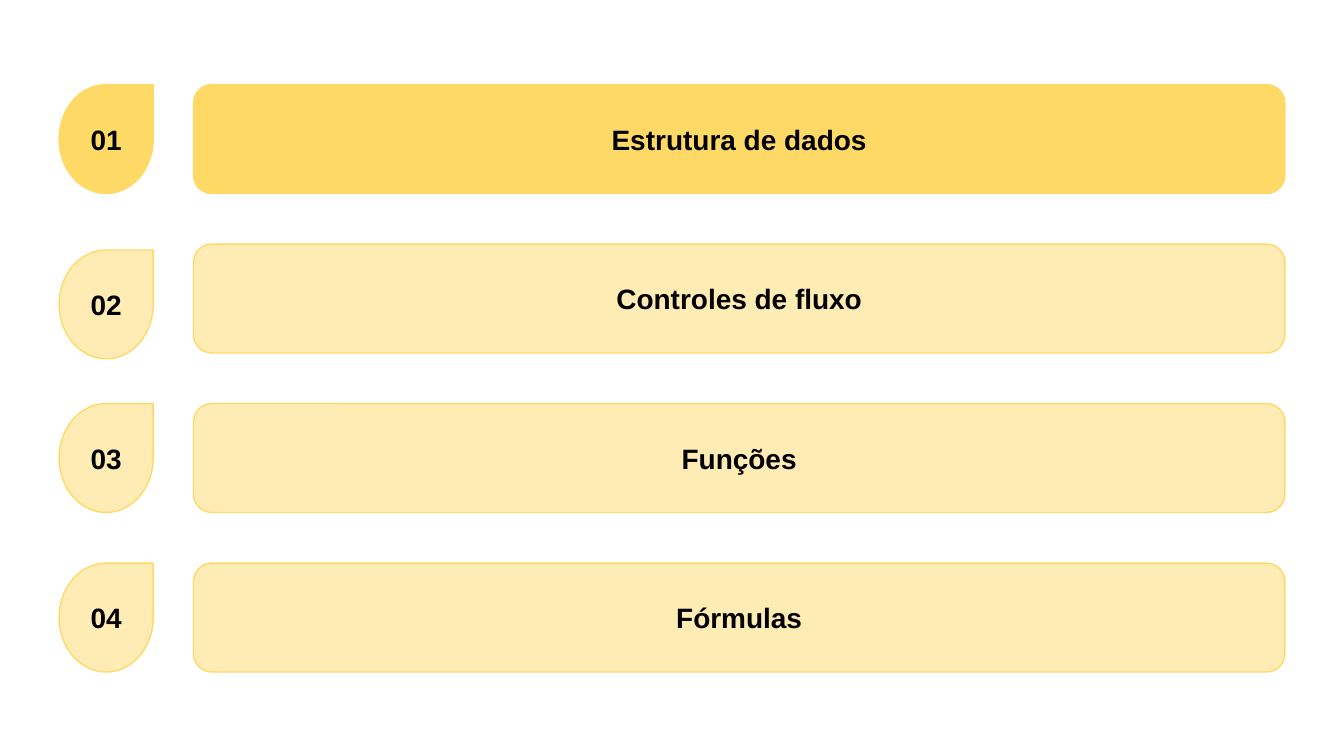
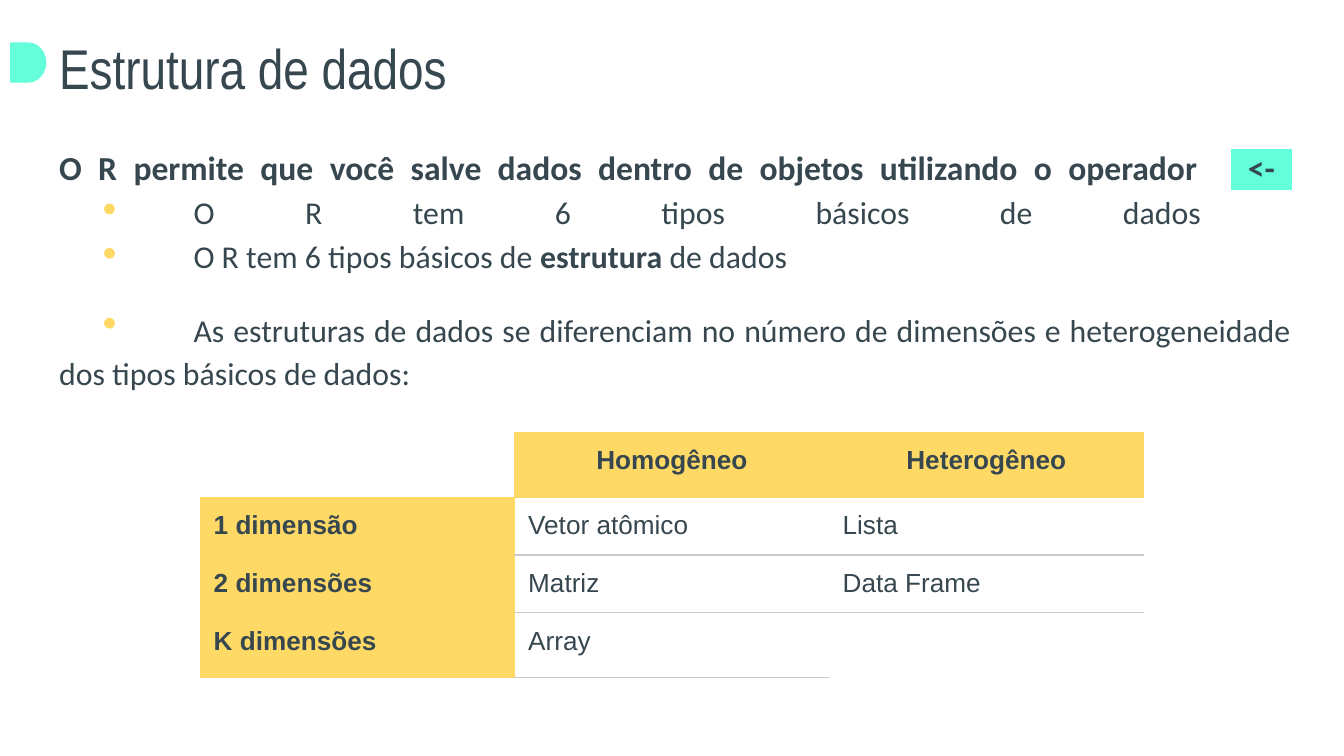
from lxml.etree import SubElement
from pptx import Presentation
from pptx.dml.color import RGBColor
from pptx.enum.shapes import MSO_SHAPE as Preset
from pptx.enum.text import MSO_ANCHOR as Anchor, MSO_AUTO_SIZE as AutoSize, PP_ALIGN as Align
from pptx.oxml.ns import qn
from pptx.util import Inches, Pt

YELLOW, MINT, SLATE, GREY, BLACK = "FFD966", "64FFDA", "37474F", "CACACA", "000000"
NO_GRID_STYLE = "{2D5ABB26-0587-4C30-8999-92F81FD0307C}"
TOPICS = ["Estrutura de dados", "Controles de fluxo", "Funções", "Fórmulas"]
STRUCTURES = [
    ["", "Homogêneo", "Heterogêneo"],
    ["1 dimensão", "Vetor atômico", "Lista"],
    ["2 dimensões", "Matriz", "Data Frame"],
    ["K dimensões", "Array", ""],
]


def color(value):
    return RGBColor.from_string(value)


def style_font(font, size, name, value, bold=False):
    font.size = Pt(size)
    font.name = name
    font.bold = bold
    font.color.rgb = color(value)


def set_margins(target):
    target.margin_left = target.margin_right = Inches(0.1)
    target.margin_top = target.margin_bottom = Inches(0.1)


def place(shape, left, top, width, height):
    shape.left, shape.top = Inches(left), Inches(top)
    shape.width, shape.height = Inches(width), Inches(height)


def add_block(page, preset, left, top, width, height, fill=YELLOW, opacity=100):
    block = page.shapes.add_shape(
        preset, Inches(left), Inches(top), Inches(width), Inches(height))
    block.shadow.inherit = False
    block.fill.solid()
    block.fill.fore_color.rgb = color(fill)
    block.line.color.rgb = color(fill)
    block.line.width = Pt(0.75)
    if opacity < 100:
        tint = block.fill._xPr.find(qn("a:solidFill"))[0]
        SubElement(tint, qn("a:alpha"), val=str(opacity * 1000))
    return block


def add_label(block, text):
    frame = block.text_frame
    set_margins(frame)
    frame.word_wrap = True
    frame.vertical_anchor = Anchor.MIDDLE
    para = frame.paragraphs[0]
    para.text = text
    para.alignment = Align.CENTER
    style_font(para.font, 15, "Arial", BLACK, True)


def prepare_frame(shape):
    frame = shape.text_frame
    set_margins(frame)
    frame.word_wrap = True
    frame.auto_size = AutoSize.NONE
    frame.vertical_anchor = Anchor.TOP
    return frame


def add_title(page, text):
    title = page.shapes.title
    place(title, 0.34, 0.15, 9.32, 0.63)
    para = prepare_frame(title).paragraphs[0]
    para.text = text
    para.alignment = Align.LEFT
    style_font(para.font, 30, "Arial Narrow", SLATE)


def format_body_paragraph(para, space_before=0):
    props = para._p.get_or_add_pPr()
    props.set("marL", "0")
    props.set("indent", "0")
    props.set("defTabSz", str(Inches(1)))
    SubElement(props, qn("a:buNone"))
    tabs = SubElement(props, qn("a:tabLst"))
    SubElement(tabs, qn("a:tab"), pos=str(Inches(1)), algn="l")
    para.alignment = Align.JUSTIFY
    para.line_spacing = 1.15
    para.space_before = Pt(space_before)


def add_span(para, text, size=17, bold=False, value=SLATE, highlight=None):
    span = para.add_run()
    span.text = text
    style_font(span.font, size, "Calibri", value, bold)
    if highlight:
        props = span._r.get_or_add_rPr()
        mark = SubElement(props, qn("a:highlight"))
        SubElement(mark, qn("a:srgbClr"), val=highlight)
        props.find(qn("a:solidFill")).addnext(mark)


def add_break(para, size=17):
    para.add_line_break()
    SubElement(para._p[-1], qn("a:rPr"), sz=str(size * 100))


def add_body(page):
    body = page.placeholders[1]
    place(body, 0.34, 0.95, 9.37, 4.47)
    frame = prepare_frame(body)
    para = frame.paragraphs[0]
    format_body_paragraph(para)
    add_span(para, "O R permite que você salve dados dentro de objetos utilizando o operador  ", 18, True)
    for text, value in (("+", MINT), ("<-", SLATE), ("+", MINT)):
        add_span(para, text, 18, True, value, MINT)
    add_break(para, 18)
    add_span(para, "\tO R tem 6 tipos básicos de dados ")
    add_break(para)
    add_span(para, "\tO R tem 6 tipos básicos de ")
    add_span(para, "estrutura ", bold=True)
    add_span(para, "de dados")
    para = frame.add_paragraph()
    format_body_paragraph(para, 16)
    add_span(para, "\tAs estruturas de dados se diferenciam no número de dimensões "
                   "e heterogeneidade dos tipos básicos de dados:")


def set_borders(cell, borders):
    props = cell._tc.get_or_add_tcPr()
    for side in "LRTB":
        line = SubElement(props, qn(f"a:ln{side}"), w=str(Pt(0.75)))
        if borders.get(side):
            fill = SubElement(line, qn("a:solidFill"))
            SubElement(fill, qn("a:srgbClr"), val=borders[side])
        else:
            SubElement(line, qn("a:noFill"))


def cell_borders(row, column, text, header):
    if header:
        return dict.fromkeys("LRTB", YELLOW)
    if row == 0:
        return {"R": YELLOW, "B": YELLOW}
    return {
        "L": YELLOW if column == 1 else None,
        "T": YELLOW if row == 1 else GREY,
        "B": GREY if text else None,
    }


def fill_cell(cell, text, centered, header):
    para = cell.text_frame.paragraphs[0]
    if text:
        para.text = text
        para.alignment = Align.CENTER if centered else Align.LEFT
        style_font(para.font, 14, "Arial", SLATE, header)
    else:
        end = SubElement(para._p, qn("a:endParaRPr"), sz="1800")
        SubElement(end, qn("a:latin"), typeface="Arial")


def add_structure_table(page):
    frame = page.shapes.add_table(4, 3, Inches(1.49), Inches(3.22), Inches(7.02), Inches(1.72))
    table = frame.table
    table.first_row = table.horz_banding = False
    table._tbl.tblPr.find(qn("a:tableStyleId")).text = NO_GRID_STYLE
    for row, texts in enumerate(STRUCTURES):
        for column, text in enumerate(texts):
            cell = table.cell(row, column)
            header = bool(text) and (row == 0 or column == 0)
            set_margins(cell)
            set_borders(cell, cell_borders(row, column, text, header))
            if header:
                cell.fill.solid()
                cell.fill.fore_color.rgb = color(YELLOW)
            else:
                cell.fill.background()
            fill_cell(cell, text, row == 0, header)


def build_agenda(deck):
    page = deck.slides.add_slide(deck.slide_layouts[6])
    for index, topic in enumerate(TOPICS):
        top = 0.63 + index * 3.56 / 3
        opacity = 100 if index == 0 else 48
        drop_top = 1.86 if index == 1 else top
        bar = add_block(page, Preset.ROUNDED_RECTANGLE, 1.44, top, 8.12, 0.81, opacity=opacity)
        add_label(bar, topic)
        drop = add_block(page, Preset.TEAR, 0.44, drop_top, 0.7, 0.81, opacity=opacity)
        add_label(drop, f"{index + 1:02}")


def build_structures(deck):
    page = deck.slides.add_slide(deck.slide_layouts[1])
    add_body(page)
    add_block(page, Preset.FLOWCHART_DELAY, 0.08, 0.32, 0.26, 0.29, MINT)
    add_title(page, TOPICS[0])
    add_structure_table(page)
    for top in (1.52, 1.85, 2.37):
        add_block(page, Preset.OVAL, 0.78, top, 0.07, 0.07)


def main():
    deck = Presentation()
    deck.slide_width = Inches(10)
    deck.slide_height = deck.slide_width * 9 // 16
    build_agenda(deck)
    build_structures(deck)
    deck.save("out.pptx")


if __name__ == "__main__":
    main()
